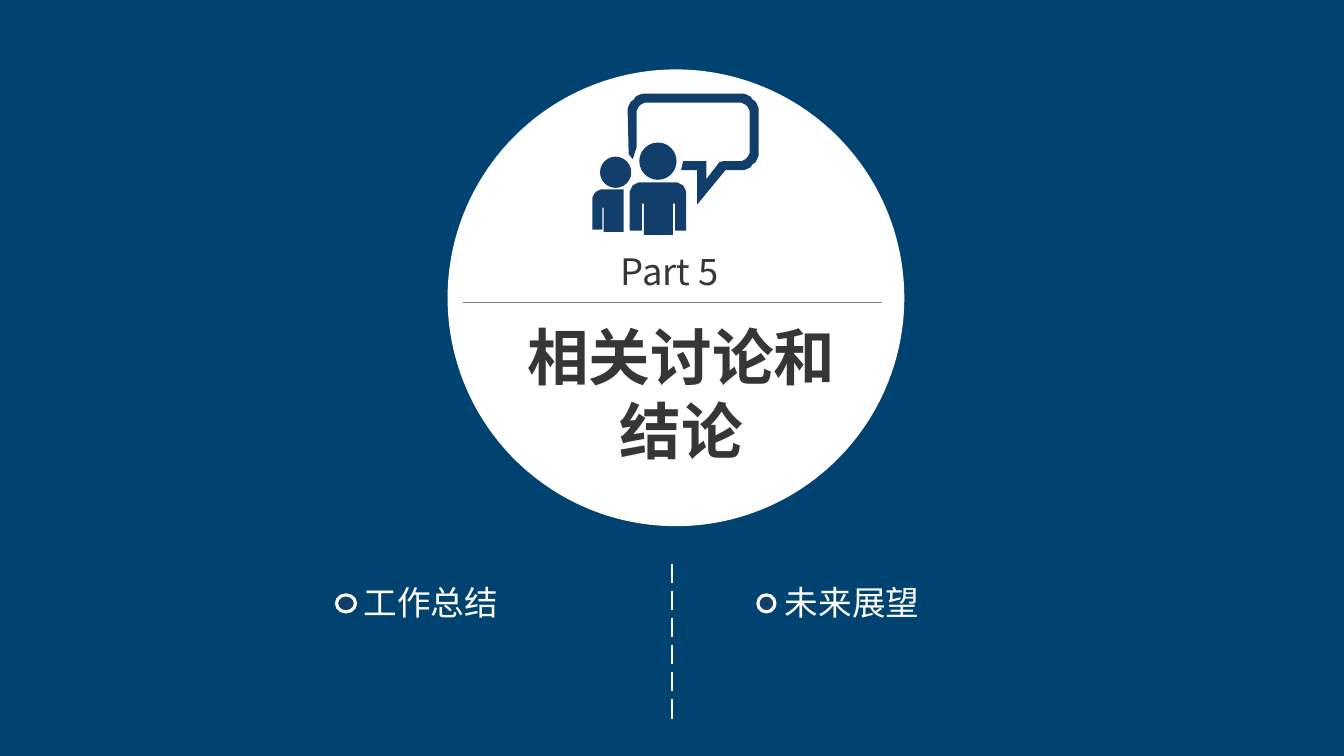
from math import cos, radians, sin

from lxml import etree
from pptx import Presentation
from pptx.dml.color import RGBColor
from pptx.enum import dml, shapes, text
from pptx.oxml.ns import qn
from pptx.util import Cm, Pt

FONT = "Noto Sans CJK SC"
WHITE, NAVY, INK, GREY, BACKDROP = "FFFFFF", "113E6A", "363636", "808080", "004270"
ICON_UNIT = 0.0254  # cm per unit of the icon's grid


def color(hex_value):
    return RGBColor.from_string(hex_value)


def paint(shape, fill, outline=None, weight=0):
    shape.shadow.inherit = False
    shape.fill.solid()
    shape.fill.fore_color.rgb = color(fill)
    if outline:
        shape.line.color.rgb = color(outline)
        shape.line.width = Pt(weight)
    else:
        shape.line.fill.background()


def add_ellipse(slide, left, top, width, height, fill, outline=None, weight=0):
    ellipse = slide.shapes.add_shape(
        shapes.MSO_SHAPE.OVAL, Cm(left), Cm(top), Cm(width), Cm(height))
    paint(ellipse, fill, outline, weight)


def add_line(slide, x1, y1, x2, y2, stroke, weight, dash=None):
    line = slide.shapes.add_connector(
        shapes.MSO_CONNECTOR.STRAIGHT, Cm(x1), Cm(y1), Cm(x2), Cm(y2))
    line.line.color.rgb = color(stroke)
    line.line.width = Pt(weight)
    if dash:
        line.line.dash_style = dash
    etree.SubElement(line._element.spPr, qn("a:effectLst"))


def add_label(slide, left, top, width, height, words, size, ink,
              bold=False, align=text.PP_ALIGN.LEFT, tight=False):
    """Add one paragraph of text; a tight label has no margins and does not wrap."""
    label = slide.shapes.add_textbox(Cm(left), Cm(top), Cm(width), Cm(height))
    frame = label.text_frame
    frame.word_wrap = not tight
    if tight:
        frame.margin_left = frame.margin_right = 0
        frame.margin_top = frame.margin_bottom = 0
    paragraph = frame.paragraphs[0]
    paragraph.text = words
    paragraph.alignment = align
    font = paragraph.font
    font.name, font.size, font.bold = FONT, Pt(size), bold
    font.color.rgb = color(ink)
    latin = paragraph._p.pPr.find(".//" + qn("a:latin"))
    east_asian = etree.Element(qn("a:ea"), typeface=FONT)
    latin.addnext(east_asian)


def arc(x, y, radius, start, end, steps=8):
    """Points of a rounded corner, with angles clockwise from the right."""
    angles = [radians(start + (end - start) * i / steps) for i in range(steps + 1)]
    return [(x + radius * cos(a), y + radius * sin(a)) for a in angles]


def discussion_icon(slide, left, top):
    """Two people and a speech bubble, drawn on a grid of icon units."""
    bubble = [
        *arc(54, 19, 19, 180, 270), *arc(146, 19, 19, 270, 360),
        *arc(146, 57, 19, 0, 90),
        (132, 76), (104, 110), (104, 76), (88, 76), (90, 67), (113, 67),
        (113, 85), (126, 68), (130, 67),
        *arc(146, 57, 10, 90, 0), *arc(146, 19, 10, 0, -90),
        *arc(54, 19, 10, 270, 180),
        (44, 53), (40, 65), (36, 60)]
    front_body = [
        *arc(48, 99, 11, 180, 270), *arc(82, 99, 11, 270, 360),
        (93, 136), (82, 136), (82, 109), (80, 109), (80, 140),
        (51, 140), (51, 109), (49, 109), (49, 136), (37, 136)]
    back_body = [
        *arc(10, 105, 10, 180, 270),
        (31, 95), (31, 137), (11, 137), (11, 113), (10, 113), (10, 135), (0, 135)]
    for outline in (bubble, front_body, back_body):
        builder = slide.shapes.build_freeform(*outline[0], scale=Cm(ICON_UNIT))
        builder.add_line_segments(outline[1:], close=True)
        paint(builder.convert_to_shape(Cm(left), Cm(top)), NAVY)
    for x, y, radius in ((23, 78, 15.5), (65, 67, 18.5)):
        size = 2 * radius * ICON_UNIT
        add_ellipse(slide, left + (x - radius) * ICON_UNIT,
                    top + (y - radius) * ICON_UNIT, size, size, NAVY)


def part_badge(slide, left, top, size, part, title):
    add_ellipse(slide, left, top, size, size, WHITE)
    add_line(slide, left + 0.38, top + 5.87, left + 10.95, top + 5.87, GREY, 1)
    add_label(slide, left + 1.5, top + 6.17, 8.79, 4.01, title, 44, INK,
              bold=True, align=text.PP_ALIGN.CENTER)
    add_label(slide, left + 4.37, top + 4.52, 2.57, 1.12, part, 26, INK, tight=True)
    discussion_icon(slide, left + 3.65, top + 0.61)


def topic(slide, left, top, dot_width, width, words):
    add_ellipse(slide, left, top + 0.44, dot_width, 0.43, NAVY, WHITE, 2.25)
    add_label(slide, left + 0.43, top, width, 1.27, words, 24, WHITE)


def section_slide(deck):
    slide = deck.slides.add_slide(deck.slide_layouts[6])
    slide.background.fill.solid()
    slide.background.fill.fore_color.rgb = color(BACKDROP)
    part_badge(slide, 11.28, 1.75, 11.51, "Part 5", "相关讨论和结论")
    topic(slide, 8.48, 14.55, 0.48, 7.95, "工作总结")
    topic(slide, 19.1, 14.55, 0.43, 8.51, "未来展望")
    add_line(slide, 16.94, 14.2, 16.94, 18.11, WHITE, 1.75, dml.MSO_LINE.LONG_DASH)


def main():
    deck = Presentation()
    deck.slide_width, deck.slide_height = Cm(33.87), Cm(19.05)
    section_slide(deck)
    deck.save("out.pptx")


if __name__ == "__main__":
    main()
